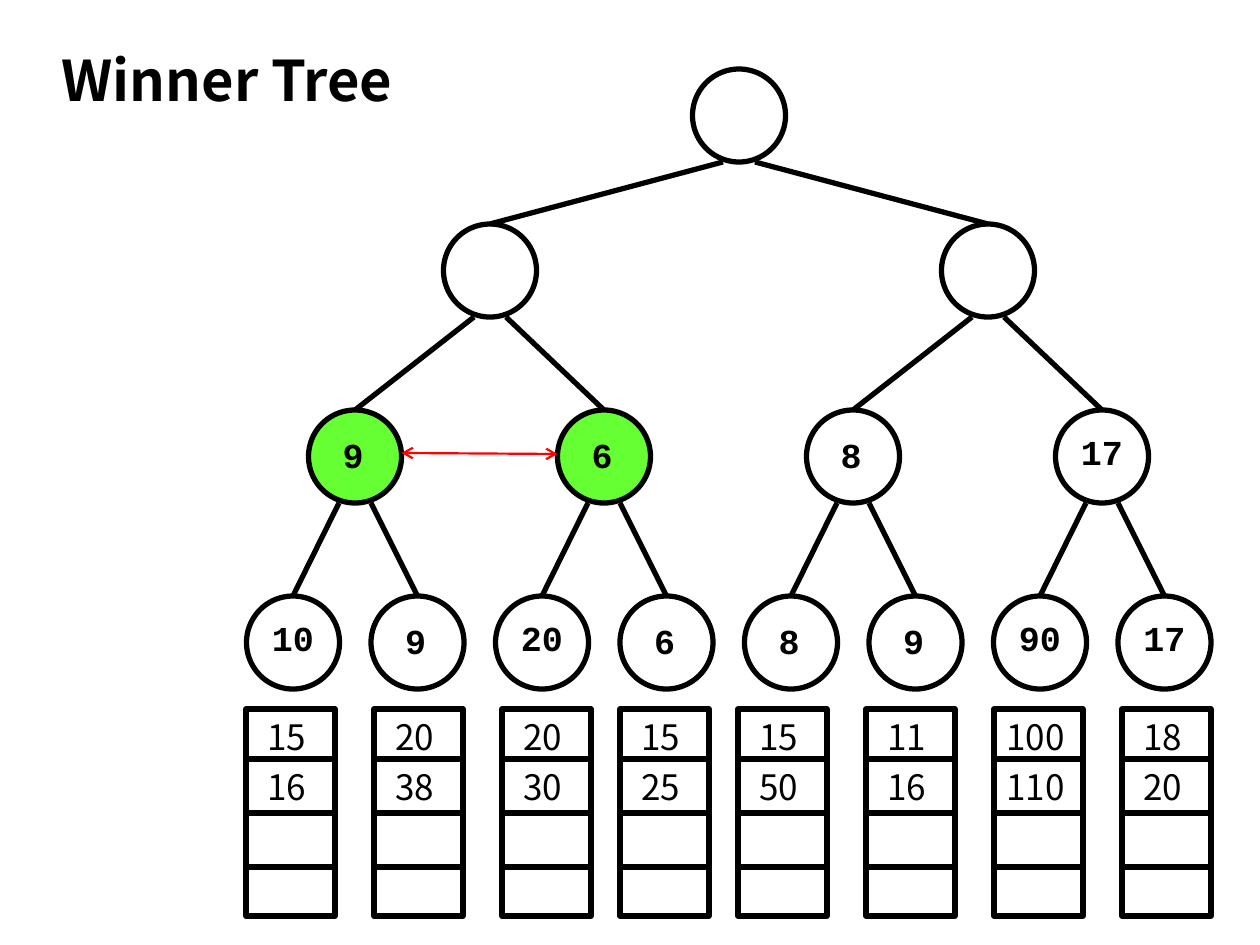
from lxml.etree import SubElement
from pptx import Presentation
from pptx.dml.color import RGBColor
from pptx.enum.shapes import MSO_CONNECTOR as Connector, MSO_SHAPE as Preset
from pptx.enum.text import MSO_ANCHOR as Anchor, PP_ALIGN as Align
from pptx.oxml.ns import qn
from pptx.util import Pt

EMU_PER_PX = 914400 / 126
COLORS = {"ink": "000000", "contender": "66FF33", "match": "FF0000"}
SANS, MONO = "Noto Sans CJK KR", "Courier New"

NODE = 93  # circle diameter
FORK = 16  # distance of a branch from the middle of its parent
# Each level: top, first centre, distance between centres, labels
LEVELS = [
    (0, 493, 0, [""]),
    (155, 244, 498, ["", ""]),
    (341, 109, 249, ["9", "6", "8", "17"]),
    (527, 47, 124.5, ["10", "9", "20", "6", "8", "9", "90", "17"]),
]
CONTENDERS = {(2, 0), (2, 1)}

LIST_LEFTS = [246, 374, 502, 620, 738, 866, 994, 1122]
LIST_VALUES = [("15", "16"), ("20", "38"), ("20", "30"), ("15", "25"),
               ("15", "50"), ("11", "16"), ("100", "110"), ("18", "20")]
ROW_TOPS = [0, 50, 104, 158]


def px(length):
    return round(length * EMU_PER_PX)


def color(name):
    return RGBColor.from_string(COLORS[name])


def add_text(page, text, box, size, font, bold=False, align=Align.LEFT):
    frame = page.shapes.add_textbox(*map(px, box)).text_frame
    frame.word_wrap = True
    frame.vertical_anchor = Anchor.MIDDLE
    para = frame.paragraphs[0]
    para.text = text
    para.alignment = align
    para.font.size = Pt(size)
    para.font.name = font
    para.font.bold = bold
    para.font.color.rgb = color("ink")


def add_outline(page, preset, box, fill=None):
    shape = page.shapes.add_shape(preset, *map(px, box))
    shape.shadow.inherit = False
    if fill:
        shape.fill.solid()
        shape.fill.fore_color.rgb = color(fill)
    else:
        shape.fill.background()
    shape.line.color.rgb = color("ink")
    shape.line.width = Pt(3)


def add_line(page, start, end, ink="ink", width=3, arrows=False):
    line = page.shapes.add_connector(Connector.STRAIGHT, *map(px, (*start, *end)))
    line.line.color.rgb = color(ink)
    line.line.width = Pt(width)
    properties = line._element.spPr
    if arrows:
        for tag in ("a:headEnd", "a:tailEnd"):
            SubElement(properties.find(qn("a:ln")), qn(tag), type="arrow")
    SubElement(properties, qn("a:effectLst"))


def add_node(page, left, top, label, fill):
    add_outline(page, Preset.OVAL, (left, top, NODE, NODE), fill)
    if len(label) == 1:
        box = (left + 11, top + 17, 67, 55)
    else:
        box = (left + 2, top + 14, 89, 55)
    if label:
        add_text(page, label, box, 20, MONO, True, Align.CENTER)


def add_tree(page, left, top):
    def center(level, index):
        _, first, step, _ = LEVELS[level]
        return left + first + step * index

    # Nodes
    for level, (level_top, _, _, labels) in enumerate(LEVELS):
        for index, label in enumerate(labels):
            fill = "contender" if (level, index) in CONTENDERS else None
            add_node(page, center(level, index) - NODE / 2, top + level_top, label, fill)

    # Branches from each child up to its parent
    for level in range(1, len(LEVELS)):
        parent_bottom = top + LEVELS[level - 1][0] + NODE
        for index in range(len(LEVELS[level][3])):
            side = FORK if index % 2 else -FORK
            add_line(page, (center(level, index), top + LEVELS[level][0]),
                     (center(level - 1, index // 2) + side, parent_bottom))

    # Match between the two contenders
    match_y = top + LEVELS[2][0] + 43
    add_line(page, (center(2, 0) + NODE / 2, match_y),
             (center(2, 1) - NODE / 2, match_y + 1), "match", 1.25, True)


def add_list(page, left, top, width, height, values):
    add_outline(page, Preset.RECTANGLE, (left, top, width, height))
    for row_top in ROW_TOPS[1:]:
        add_line(page, (left, top + row_top), (left + width, top + row_top))
    for value, row_top in zip(values, ROW_TOPS):
        inset = 0 if len(value) == 3 else 9
        add_text(page, value, (left + inset, top + row_top, width - 2 * inset, 55), 20, SANS)


def main():
    deck = Presentation()
    deck.slide_width, deck.slide_height = px(1260), px(945)
    page = deck.slides.add_slide(deck.slide_layouts[6])

    add_tree(page, 246, 69)
    for left, values in zip(LIST_LEFTS, LIST_VALUES):
        add_list(page, left, 709, 89, 207, values)
    add_text(page, "Winner Tree", (49, 39, 423, 81), 32, SANS, True)

    deck.save("out.pptx")


if __name__ == "__main__":
    main()
